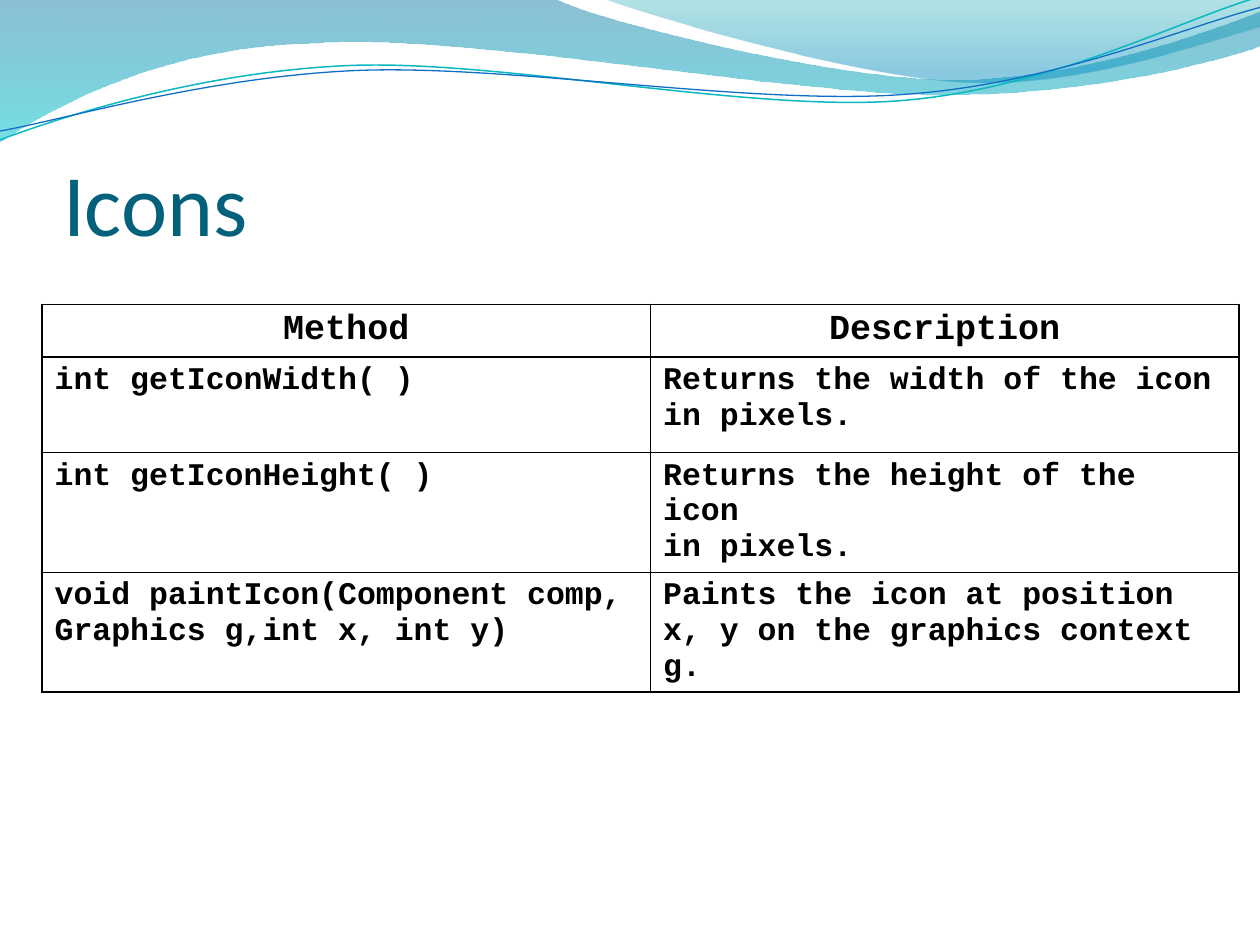
import math

from lxml import etree
from pptx import Presentation
from pptx import util as u
from pptx.dml.color import RGBColor
from pptx.enum import text
from pptx.oxml import ns

BLACK = RGBColor(0x00, 0x00, 0x00)
TITLE_TEAL = RGBColor(0x04, 0x61, 0x7B)
DEEP_BLUE = RGBColor(0x00, 0x74, 0xA1)
AQUA = RGBColor(0x00, 0xC6, 0xCF)
TEAL = RGBColor(0x00, 0xA1, 0xA9)
SKY_BLUE = RGBColor(0x00, 0x8B, 0xBF)
LINE_TEAL = RGBColor(0x0A, 0xB8, 0xBF)
LINE_BLUE = RGBColor(0x0F, 0x6F, 0xC6)

LINE_TILT = -2.7

BROAD_WAVE = [
    (0, 0), (4.4, -0.01),
    (4.76, 0.17, 6.64, 0.63, 7.58, 0.63), (8.53, 0.63, 9.58, 0.26, 10, 0.09),
    (10.01, 0.36),
    (9.83, 0.44, 8.7, 0.76, 7.46, 0.75), (6.22, 0.75, 3.82, 0.28, 2.57, 0.34),
    (1.29, 0.36, 0.46, 0.83, -0.01, 1.13),
]
RIGHT_WAVE = [
    (4.79, -0.01),
    (5.09, 0.11, 6.82, 0.62, 7.69, 0.65), (8.56, 0.69, 9.61, 0.32, 10, 0.21),
    (10, 0),
]
TEAL_LINE = [
    (0, 1.11),
    (0.48, 0.93, 1.58, 0.57, 2.77, 0.52), (3.95, 0.47, 5.93, 0.89, 7.13, 0.8),
    (8.33, 0.71, 9.38, 0.15, 9.98, -0.02),
]
BLUE_LINE = [
    (0, 1.04),
    (0.47, 0.96, 1.64, 0.61, 2.83, 0.56), (4.03, 0.51, 5.97, 0.84, 7.17, 0.75),
    (8.36, 0.67, 9.41, 0.21, 10, 0.06),
]

COLUMN_WIDTHS = [4.83, 4.67]
ROW_HEIGHTS = [0.41, 0.76, 0.41, 0.41]
METHODS = [
    ("Method", "Description"),
    ("int getIconWidth( )", "Returns the width of the icon\nin pixels."),
    ("int getIconHeight( )", "Returns the height of the icon\nin pixels."),
    ("void paintIcon(Component comp, Graphics g,int x, int y)",
     "Paints the icon at position x, y on the graphics context g."),
]


def turn(x, y, pivot, degrees):
    """Return the point turned clockwise about the pivot."""
    angle = math.radians(degrees)
    dx, dy = x - pivot[0], y - pivot[1]
    return (pivot[0] + dx * math.cos(angle) - dy * math.sin(angle),
            pivot[1] + dx * math.sin(angle) + dy * math.cos(angle))


def add_path(slide, segments, *, close, pivot=(0, 0), tilt=0):
    """Add a freeform of lines (x, y) and cubic curves (six numbers)."""
    points = [turn(*segment[i:i + 2], pivot, -tilt)
              for segment in segments for i in range(0, len(segment), 2)]
    points = [(u.Inches(x), u.Inches(y)) for x, y in points]
    builder = slide.shapes.build_freeform(*points[0])
    builder.add_line_segments(points[1:], close=close)
    shape = builder.convert_to_shape()
    lines = iter(list(shape._element.iter(ns.qn("a:lnTo"))))
    for segment in segments[1:]:
        parts = [next(lines) for _ in range(len(segment) // 2)]
        if len(parts) == 3:
            curve = etree.Element(ns.qn("a:cubicBezTo"))
            parts[0].addprevious(curve)
            for part in parts:
                curve.append(part[0])
                part.getparent().remove(part)
    shape.rotation = tilt
    shape.shadow.inherit = False
    return shape


def add_wave(slide, segments, stops):
    """Add a wave filled downwards with (position, colour, opacity) stops."""
    shape = add_path(slide, segments, close=True)
    shape.line.fill.background()
    shape.fill.gradient()
    shape.fill.gradient_angle = 270
    for stop, (position, color, _) in zip(shape.fill.gradient_stops, stops):
        stop.position = position
        stop.color.rgb = color
    colors = shape._element.spPr.iter(ns.qn("a:srgbClr"))
    for element, (_, _, opacity) in zip(colors, stops):
        etree.SubElement(element, ns.qn("a:alpha"), val=str(opacity * 1000))


def add_wave_line(slide, segments, color, width, pivot):
    """Add an open wavy line, tilted about its middle."""
    shape = add_path(slide, segments, close=False, pivot=pivot, tilt=LINE_TILT)
    shape.fill.background()
    shape.line.color.rgb = color
    shape.line.width = u.Pt(width)


def write_text(frame, content, *, size, font, color, bold=False,
               align=text.PP_ALIGN.LEFT):
    """Write the content, one paragraph a line, in one format."""
    frame.text = content
    for paragraph in frame.paragraphs:
        paragraph.alignment = align
        for run in paragraph.runs:
            run.font.size = u.Pt(size)
            run.font.name = font
            run.font.bold = bold
            run.font.color.rgb = color


def add_title(slide, content):
    """Place and format the title in front of the waves."""
    title = slide.shapes.title
    title.left, title.top = u.Inches(0.5), u.Inches(0.77)
    title.width, title.height = u.Inches(9), u.Inches(1.25)
    frame = title.text_frame
    frame.margin_left = frame.margin_right = frame.margin_bottom = 0
    frame.margin_top = u.Inches(0.05)
    frame.vertical_anchor = text.MSO_ANCHOR.BOTTOM
    frame.auto_size = text.MSO_AUTO_SIZE.NONE
    write_text(frame, content, size=50, font="Calibri", color=TITLE_TEAL)
    slide.shapes._spTree.append(title._element)


def set_borders(cell, color, width):
    """Draw the four borders of a cell."""
    properties = cell._tc.get_or_add_tcPr()
    for index, side in enumerate(("lnL", "lnR", "lnT", "lnB")):
        line = etree.Element(ns.qn(f"a:{side}"), w=str(u.Pt(width)))
        fill = etree.SubElement(line, ns.qn("a:solidFill"))
        etree.SubElement(fill, ns.qn("a:srgbClr"), val=str(color))
        properties.insert(index, line)


def add_method_table(slide):
    """Add the table of icon methods."""
    frame = slide.shapes.add_table(
        len(METHODS), len(COLUMN_WIDTHS), u.Inches(1 / 3), u.Inches(29 / 12),
        u.Inches(sum(COLUMN_WIDTHS)), u.Inches(sum(ROW_HEIGHTS)))
    table = frame.table
    table.first_row = table.horz_banding = False
    for column, width in zip(table.columns, COLUMN_WIDTHS):
        column.width = u.Inches(width)
    for index, (row, height) in enumerate(zip(table.rows, ROW_HEIGHTS)):
        row.height = u.Inches(height)
        header = index == 0
        for cell, content in zip(row.cells, METHODS[index]):
            write_text(cell.text_frame, content, size=20 if header else 18,
                       font="Courier New", color=BLACK, bold=True,
                       align=text.PP_ALIGN.CENTER if header else text.PP_ALIGN.LEFT)
            cell.fill.background()
            set_borders(cell, BLACK, 1)
    frame.height = u.Inches(3.19)


def main():
    """Build the slide and save it."""
    presentation = Presentation()
    presentation.slide_width, presentation.slide_height = u.Inches(10), u.Inches(7.5)
    slide = presentation.slides.add_slide(presentation.slide_layouts[5])
    add_wave(slide, BROAD_WAVE, [(0, DEEP_BLUE, 45), (1, AQUA, 55)])
    add_wave(slide, RIGHT_WAVE, [(0, TEAL, 30), (0.8, SKY_BLUE, 45)])
    add_wave_line(slide, TEAL_LINE, LINE_TEAL, 0.85, pivot=(4.99, 0.58))
    add_wave_line(slide, BLUE_LINE, LINE_BLUE, 0.75, pivot=(5, 0.59))
    add_title(slide, "Icons")
    add_method_table(slide)
    presentation.save("out.pptx")


if __name__ == "__main__":
    main()
